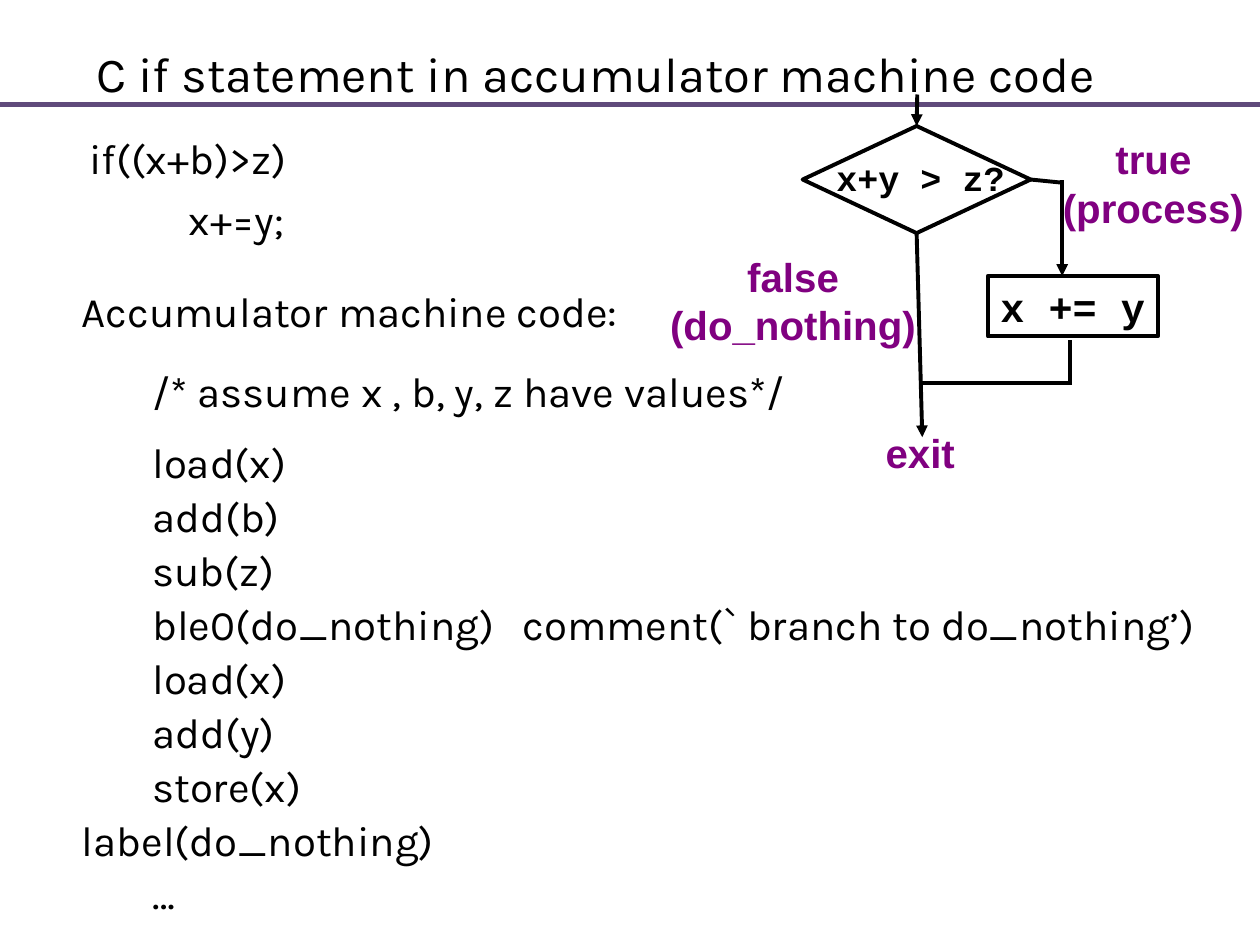
from lxml import etree
from pptx import Presentation
from pptx.dml.color import RGBColor
from pptx.enum.shapes import MSO_CONNECTOR, MSO_SHAPE
from pptx.enum.text import MSO_ANCHOR, PP_ALIGN
from pptx.oxml.ns import qn
from pptx.util import Inches, Pt

STRAIGHT = MSO_CONNECTOR.STRAIGHT
DECISION, RECTANGLE = MSO_SHAPE.FLOWCHART_DECISION, MSO_SHAPE.RECTANGLE
TOP, MIDDLE = MSO_ANCHOR.TOP, MSO_ANCHOR.MIDDLE
LEFT, CENTER = PP_ALIGN.LEFT, PP_ALIGN.CENTER
SITE_TOP, SITE_BOTTOM, SITE_RIGHT = 0, 2, 3

BLACK, PURPLE, RULE = "000000", "800080", "604A7B"
BODY_FONT, LABEL_FONT, CODE_FONT = "Karla", "Arial", "Courier New"
CODE_INDENT, COMMENT_TAB = 0.56, 3.51

TITLE = "C if statement in accumulator machine code"
INTRO = [
    ("if((x+b)>z)", 0.06, 0, 0),
    ("x+=y;", 0.85, 6, 12),
    ("Accumulator machine code:", 0, 12, 12),
    ("/* assume x , b, y, z have values*/", CODE_INDENT, 4.8, 12),
]
CODE = [
    "load(x)",
    "add(b)",
    "sub(z)",
    "ble0(do_nothing)\tcomment(` branch to do_nothing’)",
    "load(x)",
    "add(y)",
    "store(x)",
    "label(do_nothing)",
    "…",
]
LABELS = [
    (["exit"], (6.93, 3.35, 0.75, 0.48), LABEL_FONT, 23, PURPLE, LEFT, False),
    (["x+y > z?"], (6.54, 1.19, 1.54, 0.43), CODE_FONT, 20, BLACK, LEFT, False),
    (["false", "(do_nothing)"], (5, 1.95, 2.59, 0.87), LABEL_FONT, 23, PURPLE, CENTER, True),
    (["true", "(process)"], (8.29, 1.02, 1.73, 0.87), LABEL_FONT, 23, PURPLE, CENTER, False),
]


def color(value):
    return RGBColor.from_string(value)


def add_run(paragraph, text, font, size, text_color, bold=False):
    run = paragraph.add_run()
    run.text = text
    run.font.name, run.font.size, run.font.bold = font, Pt(size), bold
    run.font.color.rgb = color(text_color)


def paragraphs_of(frame, count):
    return [frame.paragraphs[0]] + [frame.add_paragraph() for _ in range(count - 1)]


def fill_text(frame, lines, font, size, text_color, align=LEFT, wrap=True, bold=True, anchor=TOP):
    frame.word_wrap, frame.vertical_anchor = wrap, anchor
    for paragraph, line in zip(paragraphs_of(frame, len(lines)), lines):
        paragraph.alignment = align
        add_run(paragraph, line, font, size, text_color, bold)


def add_text_box(slide, box):
    return slide.shapes.add_textbox(*map(Inches, box)).text_frame


def add_body(slide):
    code = [(line, 0 if line.startswith("label") else CODE_INDENT, 0, 2) for line in CODE]
    rows = INTRO + code
    frame = add_text_box(slide, (0.55, 1, 9.29, 6.5))
    frame.word_wrap = True
    for paragraph, (text, indent, before, after) in zip(paragraphs_of(frame, len(rows)), rows):
        properties = paragraph._p.get_or_add_pPr()
        properties.set("marL", "0")
        properties.set("indent", str(Inches(indent)))
        if "\t" in text:
            tabs = etree.SubElement(properties, qn("a:tabLst"))
            etree.SubElement(tabs, qn("a:tab"), pos=str(Inches(COMMENT_TAB)), algn="l")
        paragraph.space_before, paragraph.space_after = Pt(before), Pt(after)
        add_run(paragraph, text, BODY_FONT, 24, BLACK)


def add_outline(slide, kind, box):
    shape = slide.shapes.add_shape(kind, *map(Inches, box))
    shape.shadow.inherit = False
    shape.fill.background()
    shape.line.color.rgb, shape.line.width = color(BLACK), Pt(2.25)
    return shape


def add_line(slide, start, end, arrow=False, line_color=BLACK, width=2.25):
    line = slide.shapes.add_connector(STRAIGHT, *map(Inches, start + end))
    line.line.color.rgb, line.line.width = color(line_color), Pt(width)
    if arrow:
        etree.SubElement(line.line._get_or_add_ln(), qn("a:tailEnd"), type="triangle")
    etree.SubElement(line._element.spPr, qn("a:effectLst"))
    return line


def add_flowchart(slide):
    decision = add_outline(slide, DECISION, (6.37, 1, 1.81, 0.85))
    process = add_outline(slide, RECTANGLE, (7.84, 2.19, 1.35, 0.48))
    fill_text(process.text_frame, ["x += y"], CODE_FONT, 23, BLACK, wrap=False)
    for lines, box, *style in LABELS:
        fill_text(add_text_box(slide, box), lines, *style)

    entry = add_line(slide, (7.28, 0.75), (7.28, 1), arrow=True)
    entry.end_connect(decision, SITE_TOP)
    false_branch = add_line(slide, (7.28, 1.85), (7.32, 3.47), arrow=True)
    false_branch.begin_connect(decision, SITE_BOTTOM)
    true_branch = add_line(slide, (8.18, 1.43), (8.43, 1.45))
    true_branch.begin_connect(decision, SITE_RIGHT)
    add_line(slide, (8.43, 1.43), (8.43, 2.19), arrow=True)
    add_line(slide, (8.49, 2.7), (8.49, 3.04))
    add_line(slide, (7.32, 3.04), (8.51, 3.04))


def main():
    presentation = Presentation()
    presentation.slide_width, presentation.slide_height = Inches(10), Inches(7.5)
    slide = presentation.slides.add_slide(presentation.slide_layouts[6])
    add_line(slide, (0, 0.83), (10, 0.83), line_color=RULE, width=2.5)
    title = add_text_box(slide, (0.67, 0.33, 8.75, 0.5))
    fill_text(title, [TITLE], BODY_FONT, 28, BLACK, bold=False, anchor=MIDDLE)
    add_body(slide)
    add_flowchart(slide)
    presentation.save("out.pptx")


if __name__ == "__main__":
    main()
